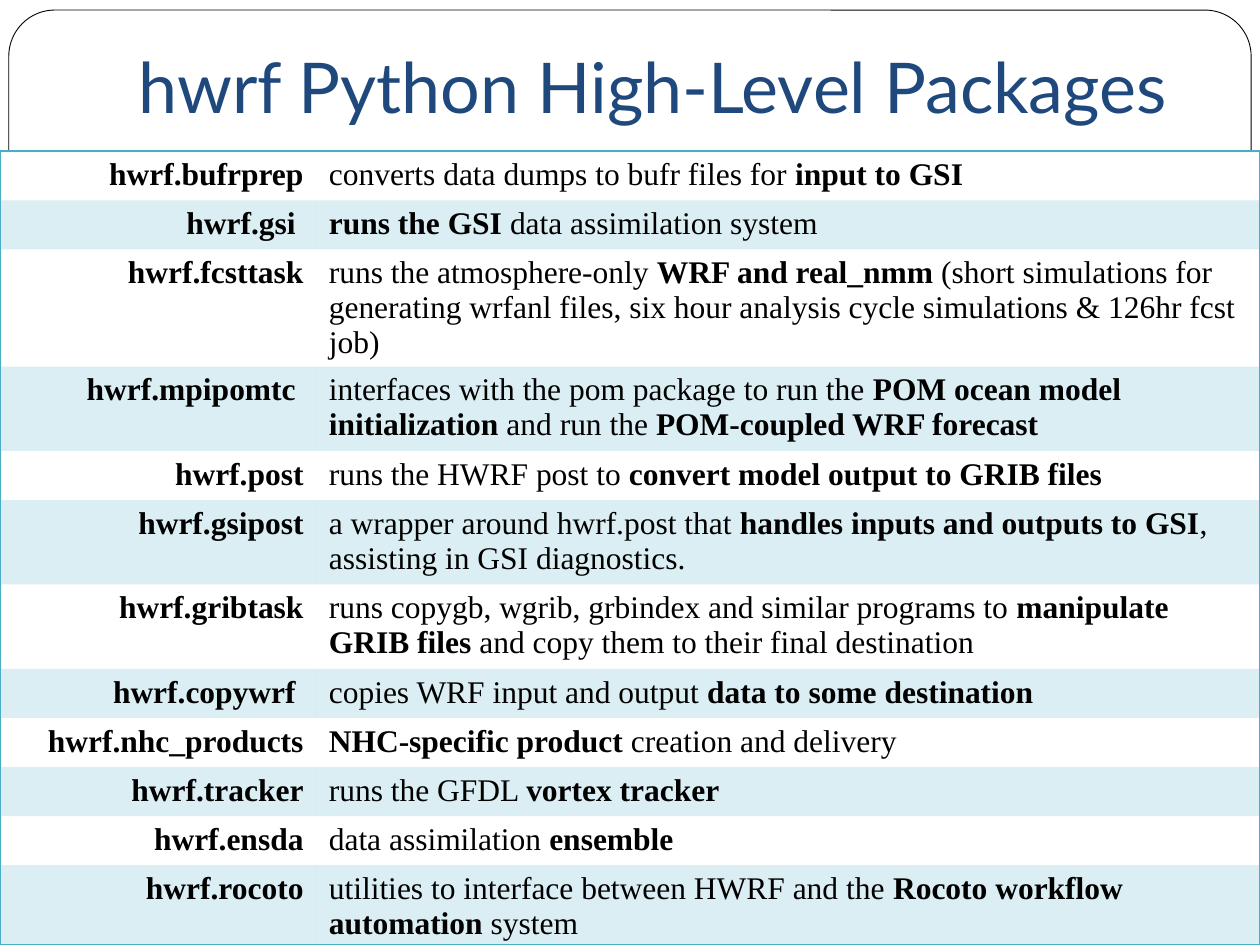
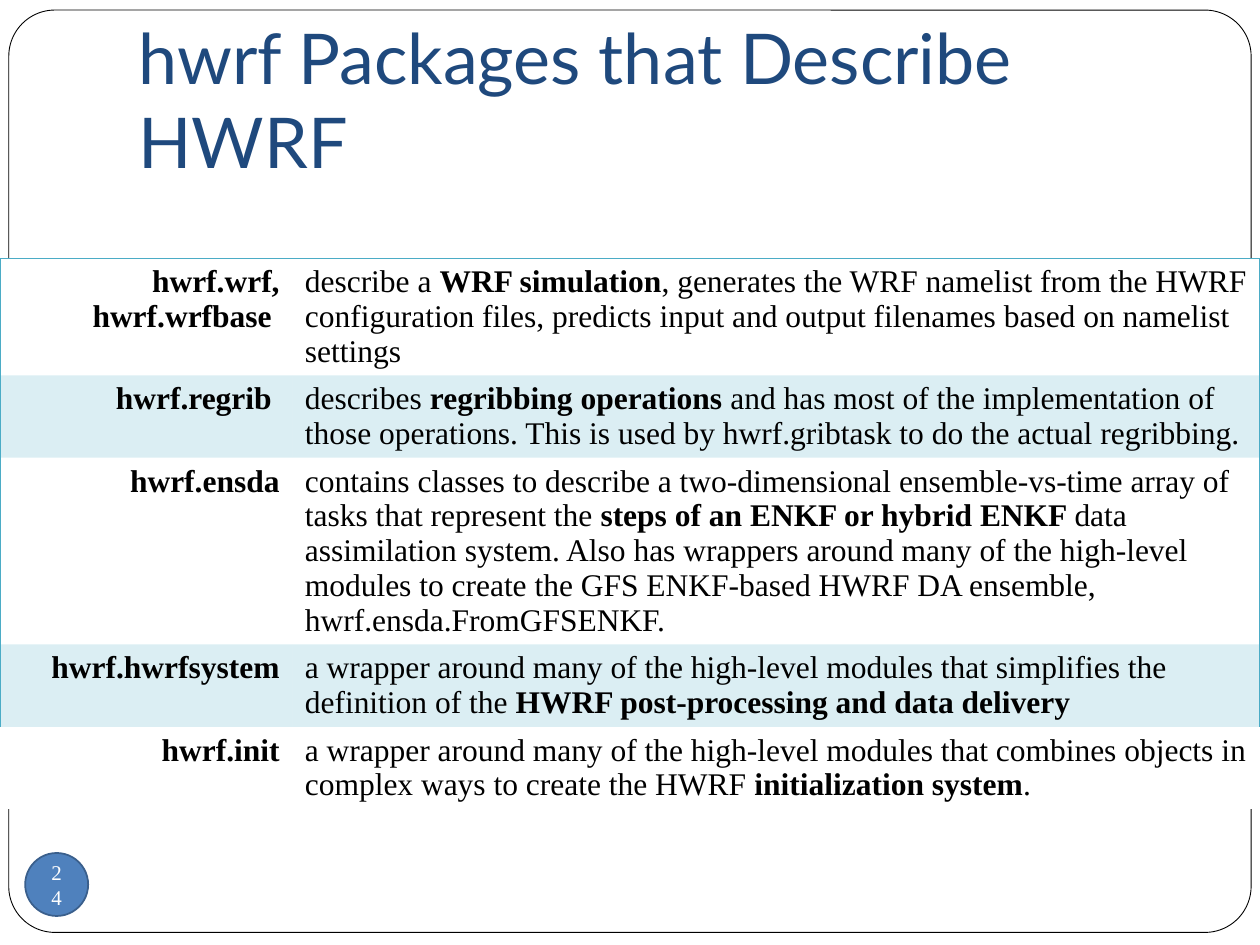
from lxml import etree
from pptx import Presentation
from pptx.dml.color import RGBColor
from pptx.enum.shapes import MSO_SHAPE
from pptx.enum.text import MSO_ANCHOR, PP_ALIGN
from pptx.oxml.ns import qn
from pptx.util import Inches, Pt

# Shared look
WHITE = RGBColor(0xFF, 0xFF, 0xFF)
BLACK = RGBColor(0x00, 0x00, 0x00)
NAVY = RGBColor(0x1F, 0x49, 0x7D)
TEAL = RGBColor(0x4B, 0xAC, 0xC6)
BLUE = RGBColor(0x4F, 0x81, 0xBD)
DARK_BLUE = RGBColor(0x3A, 0x5F, 0x8C)
TITLE_FONT = "Lato"
BODY_FONT = "Times New Roman"
BODY_LINE = Pt(19.9)
PLAIN_TABLE_STYLE = "{2D5ABB26-0587-4C30-8999-92F81FD0307C}"
BAND_OPACITY = 20

ROUNDED = MSO_SHAPE.ROUNDED_RECTANGLE
RECTANGLE = MSO_SHAPE.RECTANGLE
OVAL = MSO_SHAPE.OVAL
TOP, MIDDLE, BOTTOM = MSO_ANCHOR.TOP, MSO_ANCHOR.MIDDLE, MSO_ANCHOR.BOTTOM
LEFT, CENTER, RIGHT = PP_ALIGN.LEFT, PP_ALIGN.CENTER, PP_ALIGN.RIGHT

# Table content: package name, description with **bold** parts
HIGH_LEVEL_PACKAGES = [
    ("hwrf.bufrprep", "converts data dumps to bufr files for **input to GSI**"),
    ("hwrf.gsi ", "**runs the GSI **data assimilation system"),
    ("hwrf.fcsttask", "runs the atmosphere-only **WRF and real_nmm** (short simulations for "
     "generating wrfanl files, six hour analysis cycle simulations & 126hr fcst job)"),
    ("hwrf.mpipomtc ", "interfaces with the pom package to run the **POM ocean model "
     "initialization **and run the **POM-coupled WRF forecast**"),
    ("hwrf.post", "runs the HWRF post to **convert model output to GRIB files**"),
    ("hwrf.gsipost", "a wrapper around hwrf.post that **handles inputs and outputs to GSI**, "
     "assisting in GSI diagnostics."),
    ("hwrf.gribtask", "runs copygb, wgrib, grbindex and similar programs to **manipulate "
     "GRIB files** and copy them to their final destination"),
    ("hwrf.copywrf ", "copies WRF input and output **data to some destination**"),
    ("hwrf.nhc_products", "**NHC-specific product **creation and delivery"),
    ("hwrf.tracker", "runs the GFDL **vortex tracker**"),
    ("hwrf.ensda", "data assimilation **ensemble**"),
    ("hwrf.rocoto", "utilities to interface between HWRF and the **Rocoto workflow "
     "automation **system"),
]
HIGH_LEVEL_TALL_ROWS = (2, 3, 5, 6)
DESCRIBING_PACKAGES = [
    ("hwrf.wrf, hwrf.wrfbase ", "describe a **WRF simulation**, generates the WRF namelist from "
     "the HWRF configuration files, predicts input and output filenames based on namelist "
     "settings"),
    ("hwrf.regrib ", "describes **regribbing operations **and has most of the implementation of "
     "those operations. This is used by hwrf.gribtask to do the actual regribbing."),
    ("hwrf.ensda", "contains classes to describe a two-dimensional ensemble-vs-time array of "
     "tasks that represent the **steps of an ENKF or hybrid ENKF **data assimilation system. "
     "Also has wrappers around many of the high-level modules to create the GFS ENKF-based "
     "HWRF DA ensemble, hwrf.ensda.FromGFSENKF."),
    ("hwrf.hwrfsystem", "a wrapper around many of the high-level modules that simplifies the "
     "definition of the **HWRF post-processing and data delivery**"),
    ("hwrf.init", "a wrapper around many of the high-level modules that combines objects in "
     "complex ways to create the HWRF** initialization system**."),
]


def add_span(para, text, size, font, color, bold=False):
    span = para.add_run()
    span.text = text
    span.font.size = Pt(size)
    span.font.name = font
    span.font.color.rgb = color
    span.font.bold = bold


def add_marked_text(para, text):
    """Write body text, switching bold on and off at each ** mark."""
    para.line_spacing = BODY_LINE
    for index, part in enumerate(text.split("**")):
        if part:
            add_span(para, part, 18, BODY_FONT, BLACK, bold=index % 2 == 1)


def add_panel(page, kind, left, top, width, height, fill, line, line_width):
    panel = page.shapes.add_shape(
        kind, Inches(left), Inches(top), Inches(width), Inches(height))
    panel.shadow.inherit = False
    panel.fill.solid()
    panel.fill.fore_color.rgb = fill
    panel.line.color.rgb = line
    panel.line.width = Pt(line_width)
    return panel


def add_page(deck):
    """Add a blank page with the rounded frame."""
    page = deck.slides.add_slide(deck.slide_layouts[6])
    frame = add_panel(page, ROUNDED, 0.07, 0.08, 9.86, 7.32, WHITE, BLACK, 0.5)
    frame.adjustments[0] = 0.05
    return page


def add_title(page, text, anchor):
    box = page.shapes.add_textbox(Inches(1), Inches(0.3), Inches(8.5), Inches(1.25))
    frame = box.text_frame
    frame.word_wrap = True
    frame.vertical_anchor = anchor
    frame.margin_bottom = Inches(0.1)
    add_span(frame.paragraphs[0], text, 40, TITLE_FONT, NAVY)


def add_page_number(page, number):
    badge = add_panel(page, OVAL, 0.2, 6.77, 0.5, 0.5, BLUE, DARK_BLUE, 1)
    frame = badge.text_frame
    frame.word_wrap = True
    frame.vertical_anchor = MIDDLE
    para = frame.paragraphs[0]
    para.alignment = CENTER
    add_span(para, number, 12, BODY_FONT, WHITE)


def tint_cell(cell):
    """Fill a cell with translucent teal, so the panel edge shows through."""
    cell.fill.solid()
    cell.fill.fore_color.rgb = TEAL
    color = cell._tc.tcPr.find(qn("a:solidFill")).find(qn("a:srgbClr"))
    etree.SubElement(color, qn("a:alpha"), val=str(BAND_OPACITY * 1000))


def add_cell_border(cell, side):
    """Draw a teal edge; borders come before the fill in the cell properties."""
    line = etree.Element(qn(f"a:{side}"), w=str(Pt(1)))
    fill = etree.SubElement(line, qn("a:solidFill"))
    etree.SubElement(fill, qn("a:srgbClr"), val=str(TEAL))
    cell._tc.get_or_add_tcPr().insert(0, line)


def add_package_table(page, packages, top, height, name_width, row_height, tall_rows=()):
    add_panel(page, RECTANGLE, 0, top, 10, height, WHITE, TEAL, 0.75)
    row_heights = [0.67 if index in tall_rows else row_height
                   for index in range(len(packages))]
    table = page.shapes.add_table(
        len(packages), 2, Inches(0), Inches(top), Inches(10),
        Inches(sum(row_heights))).table
    table.first_row = table.horz_banding = False
    table._tbl.tblPr.find(qn("a:tableStyleId")).text = PLAIN_TABLE_STYLE
    table.columns[0].width = Inches(name_width)
    table.columns[1].width = Inches(10 - name_width)

    for index, (name, description) in enumerate(packages):
        table.rows[index].height = Inches(row_heights[index])
        texts = (f"**{name}**", description)
        for cell, text, align in zip(table.rows[index].cells, texts, (RIGHT, LEFT)):
            para = cell.text_frame.paragraphs[0]
            para.alignment = align
            add_marked_text(para, text)
            if index % 2:
                tint_cell(cell)
            else:
                cell.fill.background()
    return table


def main():
    deck = Presentation()
    deck.slide_width = Inches(10)
    deck.slide_height = Inches(7.5)

    # High-level packages, with ruled top and bottom edges
    page = add_page(deck)
    add_title(page, "hwrf Python High-Level Packages", TOP)
    table = add_package_table(
        page, HIGH_LEVEL_PACKAGES, 1.2, 6.3, 2.51, 0.39, HIGH_LEVEL_TALL_ROWS)
    for column in range(2):
        add_cell_border(table.cell(0, column), "lnT")
        add_cell_border(table.cell(len(HIGH_LEVEL_PACKAGES) - 1, column), "lnB")

    # Packages that describe the system, last row on opaque white
    page = add_page(deck)
    add_page_number(page, "24")
    add_title(page, "hwrf Packages that Describe HWRF", BOTTOM)
    table = add_package_table(page, DESCRIBING_PACKAGES, 2.05, 4.1, 2.32, 0.41)
    for column in range(2):
        last_cell = table.cell(len(DESCRIBING_PACKAGES) - 1, column)
        last_cell.fill.solid()
        last_cell.fill.fore_color.rgb = WHITE

    deck.save("out.pptx")


if __name__ == "__main__":
    main()
